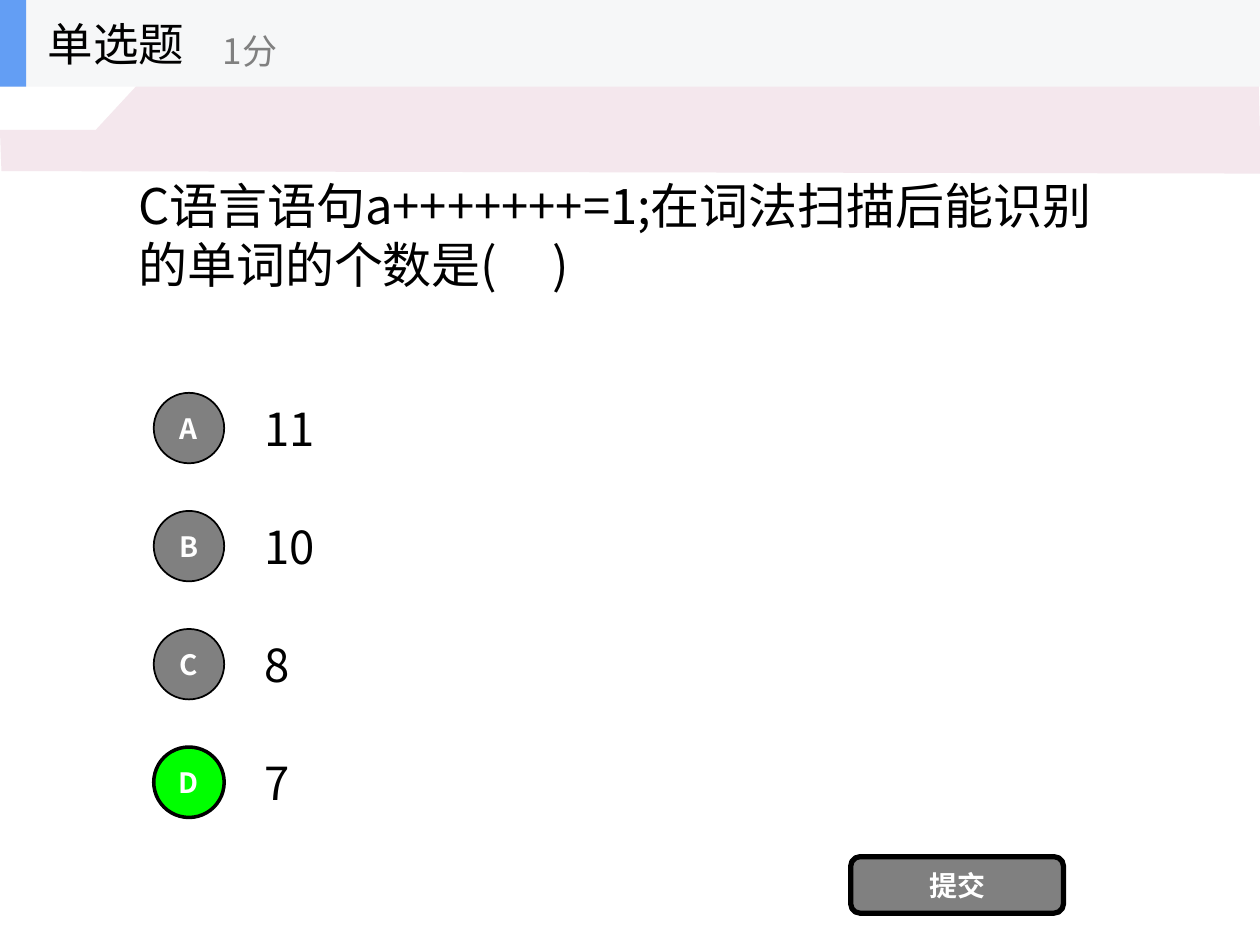
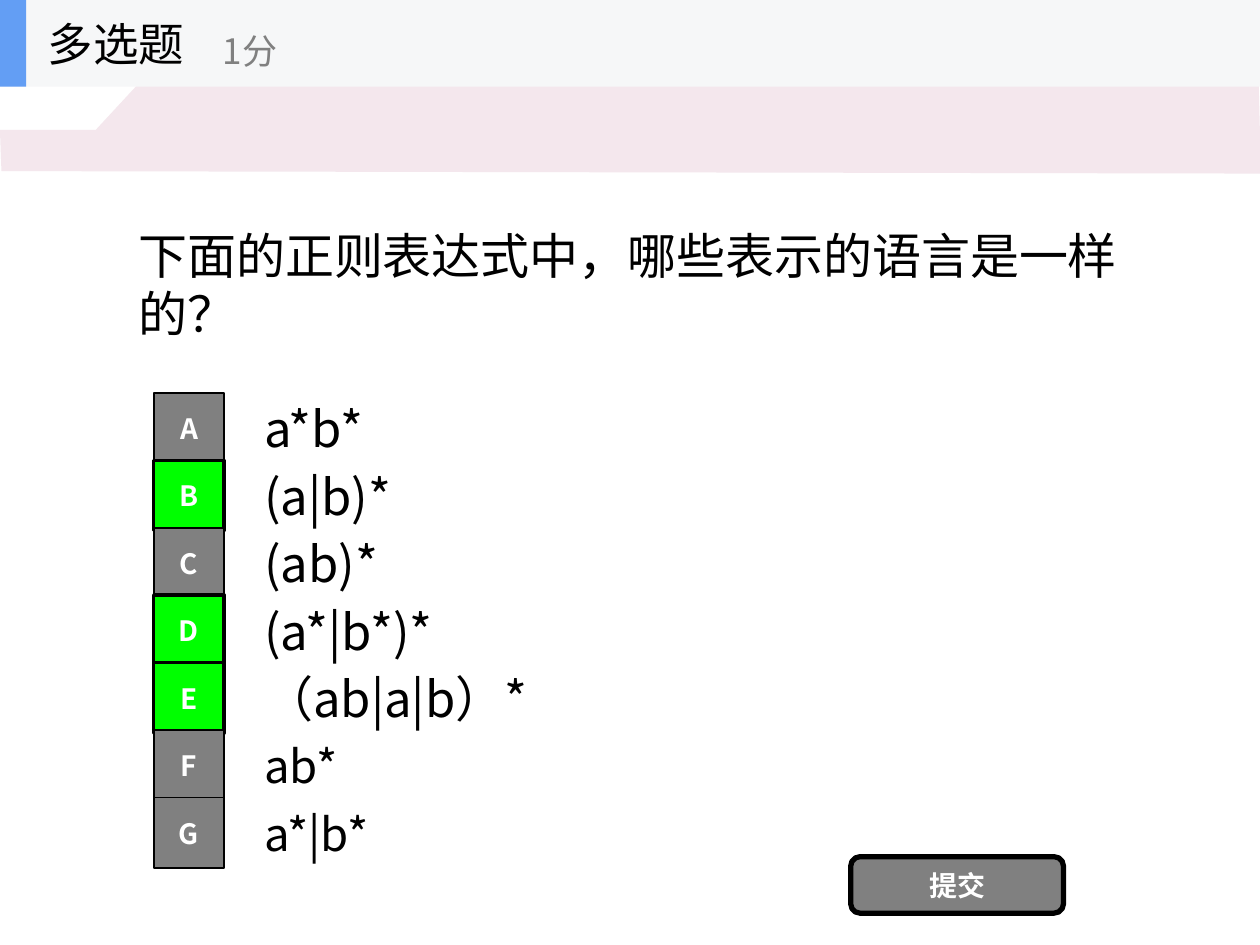
from lxml import etree
from pptx import Presentation
from pptx.dml.color import RGBColor
from pptx.enum.shapes import MSO_SHAPE
from pptx.enum.text import MSO_ANCHOR, PP_ALIGN
from pptx.oxml.ns import qn
from pptx.util import Cm, Pt

RECT, ROUND, OVAL = MSO_SHAPE.RECTANGLE, MSO_SHAPE.ROUNDED_RECTANGLE, MSO_SHAPE.OVAL
MIDDLE = MSO_ANCHOR.MIDDLE
LEFT, CENTER = PP_ALIGN.LEFT, PP_ALIGN.CENTER

FONT = "Noto Sans CJK SC"
BLACK, WHITE, GREY, GREEN = "000000", "FFFFFF", "808080", "00FF00"
HEADER, ACCENT, BAND = "F6F7F8", "639EF4", "F4E7ED"

PAGE_WIDTH, PAGE_HEIGHT = 25.4, 19.05
HEADER_HEIGHT = 1.75
BAND_OUTLINE = [(0, 2.62), (1.93, 2.62), (3.43, 1), (9.53, 1),
                (9.98, 1.52), (25.37, 1.5), (25.42, 3.5), (0.03, 3.45)]
OPTIONS_TOP, OPTION_HEIGHT = 7.74, 1.78
BADGE_SIZE = 1.42


def color(hex_value):
    return RGBColor.from_string(hex_value)


class QuizDeck:
    """Holds the quiz style and the slide being built."""

    def __init__(self):
        self.deck = Presentation()
        self.deck.slide_width, self.deck.slide_height = Cm(PAGE_WIDTH), Cm(PAGE_HEIGHT)
        self.page = None

    def paint(self, shape, fill, line_width=0):
        shape.shadow.inherit = False
        shape.fill.solid()
        shape.fill.fore_color.rgb = color(fill)
        if line_width:
            shape.line.color.rgb = color(BLACK)
            shape.line.width = Pt(line_width)
        else:
            shape.line.fill.background()

    def add_words(self, box, words, size, ink, align=LEFT, bold=False):
        frame = box.text_frame
        frame.word_wrap = True
        frame.vertical_anchor = MIDDLE
        para = frame.paragraphs[0]
        para.alignment = align
        span = para.add_run()
        span.text = words
        span.font.name = FONT
        span.font.size = Pt(size)
        span.font.bold = bold
        span.font.color.rgb = color(ink)
        # East Asian characters take their own typeface setting
        latin = span.font._element.find(qn("a:latin"))
        east_asian = etree.Element(qn("a:ea"), typeface=FONT)
        latin.addnext(east_asian)

    def text(self, left, top, width, height, words, size, ink=BLACK):
        box = self.page.shapes.add_textbox(Cm(left), Cm(top), Cm(width), Cm(height))
        self.add_words(box, words, size, ink)

    def shape(self, kind, left, top, width, height, fill, line_width=0):
        shape = self.page.shapes.add_shape(kind, Cm(left), Cm(top), Cm(width), Cm(height))
        self.paint(shape, fill, line_width)
        return shape

    def label(self, kind, left, top, width, height, words, fill, line_width):
        shape = self.shape(kind, left, top, width, height, fill, line_width)
        frame = shape.text_frame
        frame.margin_left = frame.margin_right = 0
        frame.margin_top = frame.margin_bottom = 0
        self.add_words(shape, words, 16, WHITE, CENTER, bold=True)

    def band(self):
        points = [(Cm(x), Cm(y)) for x, y in BAND_OUTLINE]
        builder = self.page.shapes.build_freeform(*points[0])
        builder.add_line_segments(points[1:], close=True)
        self.paint(builder.convert_to_shape(), BAND)

    def header(self, title, score):
        self.shape(RECT, 0, 0, PAGE_WIDTH, HEADER_HEIGHT, HEADER)
        self.shape(RECT, 0, 0, 0.53, HEADER_HEIGHT, ACCENT)
        self.text(0.71, 0, 5.28, HEADER_HEIGHT, title, 26)
        self.text(4.24, 0.31, 6.35, 1.42, score, 20, GREY)

    def options(self, badge, pitch, answers, correct):
        inset = (OPTION_HEIGHT - BADGE_SIZE) / 2
        for row, (letter, (words, size)) in enumerate(zip("ABCDEFG", answers)):
            top = OPTIONS_TOP + row * pitch
            fill, line_width = (GREEN, 2) if letter in correct else (GREY, 1)
            self.text(5.08, top, 17.78, OPTION_HEIGHT, words, size)
            self.label(badge, 3.1, top + inset, BADGE_SIZE, BADGE_SIZE,
                       letter, fill, line_width)

    def question(self, title, words, top, height, badge, pitch, answers, correct):
        self.page = self.deck.slides.add_slide(self.deck.slide_layouts[6])
        self.band()
        self.text(2.54, top, 20.32, height, words, 28)
        self.options(badge, pitch, answers, correct)
        self.label(ROUND, 17.15, 17.27, 4.29, 1.14, "提交", GREY, 3)
        self.header(title, "1分")


def main():
    quiz = QuizDeck()

    # Single choice: counting tokens
    quiz.question(
        "单选题", "C语言语句a+++++++=1;在词法扫描后能识别的单词的个数是(     )",
        top=1.75, height=5.94, badge=OVAL, pitch=2.38,
        answers=[("11", 26), ("10", 26), ("8", 26), ("7", 26)], correct="D")

    # Multiple choice: equivalent regular expressions
    quiz.question(
        "多选题", "下面的正则表达式中，哪些表示的语言是一样的？",
        top=3.73, height=3.99, badge=RECT, pitch=1.36,
        answers=[("a*b*", 28), ("(a|b)*", 28), ("(ab)*", 28), ("(a*|b*)*", 28),
                 ("（ab|a|b）*", 28), ("ab*", 26), ("a*|b*", 26)],
        correct="BDE")

    quiz.deck.save("out.pptx")


if __name__ == "__main__":
    main()
